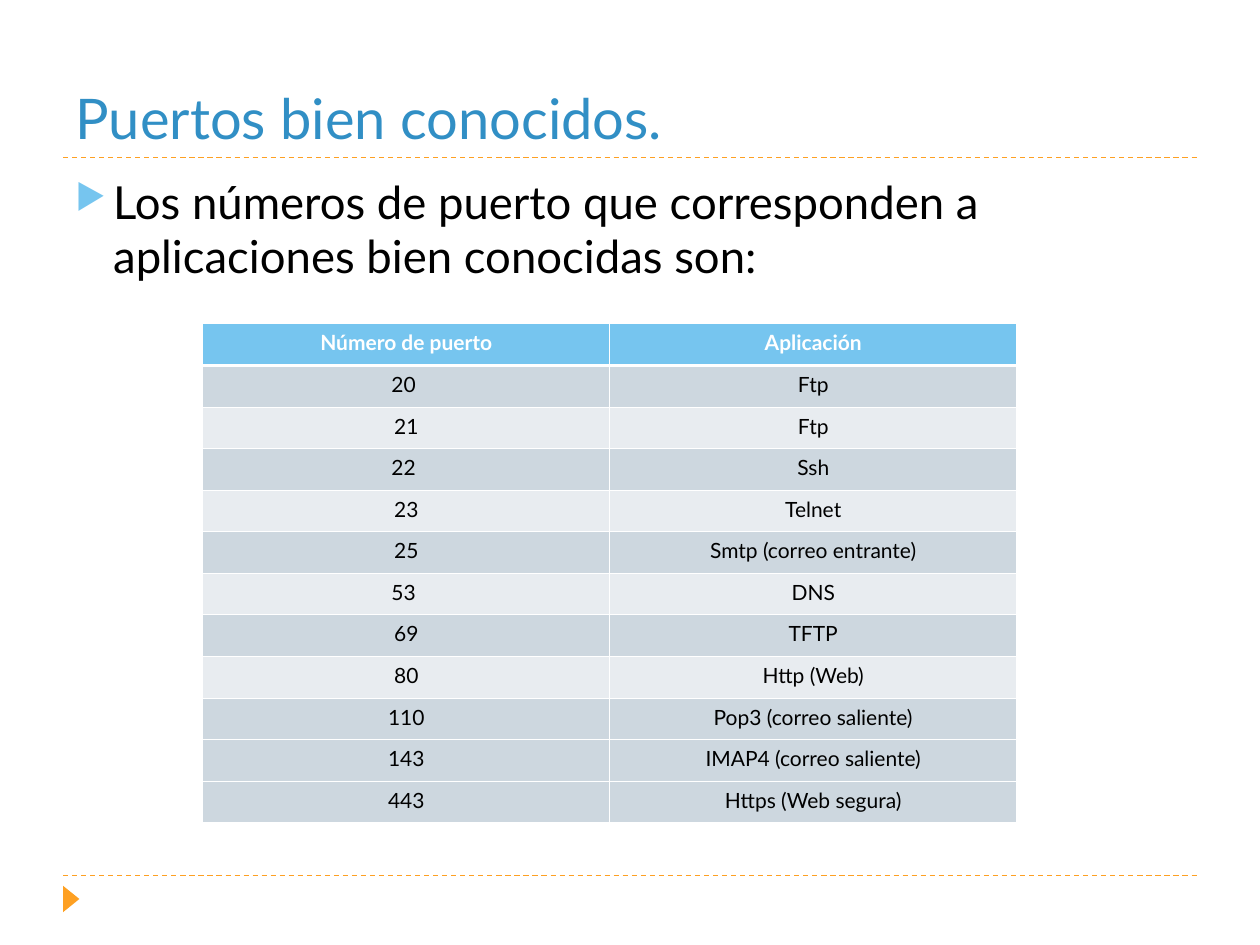
import pptx
import pptx.dml.color
import pptx.enum.dml
import pptx.enum.shapes
import pptx.enum.text
import pptx.oxml
import pptx.oxml.ns
import pptx.util

RGBColor = pptx.dml.color.RGBColor
Inches = pptx.util.Inches
Pt = pptx.util.Pt

# Content
TITLE = "Puertos bien conocidos."
INTRO = "Los números de puerto que corresponden a aplicaciones bien conocidas son:"
PORTS = [
    ("Número de puerto", "Aplicación"),
    ("20 ", "Ftp"),
    ("21", "Ftp"),
    ("22 ", "Ssh"),
    ("23", "Telnet"),
    ("25", "Smtp (correo entrante)"),
    ("53 ", "DNS"),
    ("69", "TFTP"),
    ("80", "Http (Web)"),
    ("110", "Pop3 (correo saliente)"),
    ("143", "IMAP4 (correo saliente)"),
    ("443", "Https (Web segura)"),
]
LIGHT_ROWS = range(2, 9, 2)

# Colours and formats
ORANGE = RGBColor(0xFE, 0xA0, 0x22)
BLUE = RGBColor(0x31, 0x8F, 0xC5)
SKY = RGBColor(0x76, 0xC5, 0xEF)
DARK_BAND = RGBColor(0xCD, 0xD7, 0xDF)
LIGHT_BAND = RGBColor(0xE8, 0xEC, 0xF0)
WHITE = RGBColor(0xFF, 0xFF, 0xFF)
BLACK = RGBColor(0, 0, 0)

TITLE_FONT = {"size": Pt(32), "color": BLUE}
INTRO_FONT = {"size": Pt(26), "color": BLACK}
HEADER_FONT = {"size": Pt(12), "color": WHITE, "bold": True}
CELL_FONT = {"size": Pt(12), "color": BLACK, "bold": False}
THIN, THICK = 0.45, 1.47

# Layout
WIDTH, HEIGHT = Inches(10), Inches(7.5)
MARGIN = Inches(0.5)
CONTENT_WIDTH = WIDTH - 2 * MARGIN
RULES = (Inches(6.95), Inches(1.25))
TABLE_LEFT, TABLE_TOP = Inches(1.61), Inches(2.57)
COLUMN_WIDTH, ROW_HEIGHT = Inches(3.23), Inches(0.33)


def write(frame, text, font):
    para = frame.paragraphs[0]
    span = para.add_run()
    span.text = text
    span.font.name = "Lato"
    for name, value in font.items():
        if name == "color":
            span.font.color.rgb = value
        else:
            setattr(span.font, name, value)
    return para


def add_bullet(para):
    props = para._p.get_or_add_pPr()
    props.set("marL", str(Inches(0.3)))
    props.set("indent", str(-Inches(0.3)))
    namespace = pptx.oxml.ns.nsdecls("a")
    for xml in (
        f'<a:buClr {namespace}><a:srgbClr val="{SKY}"/></a:buClr>',
        f'<a:buSzPct {namespace} val="76000"/>',
        f'<a:buChar {namespace} char="▶"/>',
    ):
        props.append(pptx.oxml.parse_xml(xml))


def set_borders(cell, widths):
    props = cell._tc.get_or_add_tcPr()
    for place, (side, width) in enumerate(widths.items()):
        props.insert(place, pptx.oxml.parse_xml(
            f'<a:ln{side} {pptx.oxml.ns.nsdecls("a")} w="{Pt(width)}">'
            f'<a:solidFill><a:srgbClr val="{WHITE}"/></a:solidFill></a:ln{side}>'))


def add_decoration(page):
    # Dashed rules above the body and the footer
    for y in RULES:
        rule = page.shapes.add_connector(
            pptx.enum.shapes.MSO_CONNECTOR.STRAIGHT, MARGIN, y, WIDTH - MARGIN, y)
        rule.line.color.rgb = ORANGE
        rule.line.width = Pt(0.75)
        rule.line.dash_style = pptx.enum.dml.MSO_LINE.DASH
        rule._element.spPr.append(pptx.oxml.parse_xml(
            f'<a:effectLst {pptx.oxml.ns.nsdecls("a")}/>'))

    # Footer arrow
    arrow = page.shapes.add_shape(
        pptx.enum.shapes.MSO_SHAPE.ISOSCELES_TRIANGLE,
        Inches(0.46), Inches(7.07), Inches(0.21), Inches(0.13))
    arrow.rotation = 90
    arrow.shadow.inherit = False
    arrow.fill.solid()
    arrow.fill.fore_color.rgb = ORANGE
    arrow.line.fill.background()


def add_text(page):
    title = page.shapes.title
    title.left, title.top = MARGIN, Inches(0.17)
    title.width, title.height = CONTENT_WIDTH, Inches(1.08)
    title.text_frame.vertical_anchor = pptx.enum.text.MSO_ANCHOR.BOTTOM
    para = write(title.text_frame, TITLE, TITLE_FONT)
    para.alignment = pptx.enum.text.PP_ALIGN.LEFT

    box = page.shapes.add_textbox(MARGIN, Inches(1.33), CONTENT_WIDTH, Inches(5.4))
    box.text_frame.word_wrap = True
    para = write(box.text_frame, INTRO, INTRO_FONT)
    para.space_before = Pt(6)
    add_bullet(para)


def add_ports(page):
    rows, columns = len(PORTS), len(PORTS[0])
    table = page.shapes.add_table(
        rows, columns, TABLE_LEFT, TABLE_TOP,
        columns * COLUMN_WIDTH, rows * ROW_HEIGHT).table
    table.horz_banding = False
    for r, texts in enumerate(PORTS):
        band = SKY if r == 0 else LIGHT_BAND if r in LIGHT_ROWS else DARK_BAND
        borders = {"L": THIN, "R": THIN,
                   "T": THICK if r == 1 else THIN,
                   "B": THICK if r == 0 else THIN}
        for c, text in enumerate(texts):
            cell = table.cell(r, c)
            cell.fill.solid()
            cell.fill.fore_color.rgb = band
            set_borders(cell, borders)
            para = write(cell.text_frame, text, CELL_FONT if r else HEADER_FONT)
            para.alignment = pptx.enum.text.PP_ALIGN.CENTER


def main():
    deck = pptx.Presentation()
    deck.slide_width, deck.slide_height = WIDTH, HEIGHT
    page = deck.slides.add_slide(deck.slide_layouts[5])
    add_decoration(page)
    add_text(page)
    add_ports(page)
    deck.save("out.pptx")


if __name__ == "__main__":
    main()
